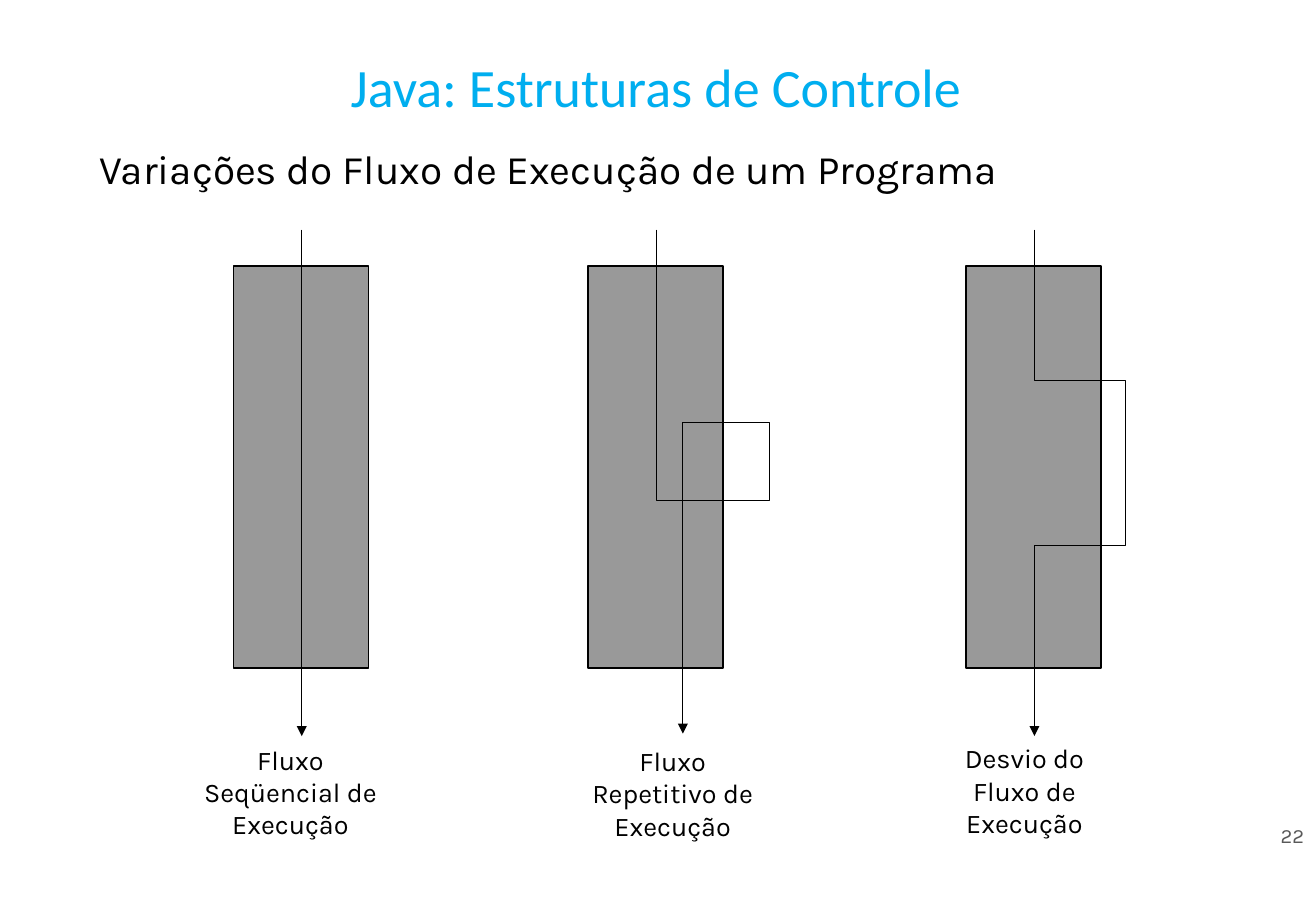
from pptx import Presentation, util as u
from pptx.dml.color import RGBColor
from pptx.enum import shapes, text
from pptx.oxml.ns import qn
from lxml import etree

W, H = u.Inches(10.83), u.Inches(7.5)
COL, ROW = W / 100, H / 100
COLORS = {"title": "00AEEF", "ink": "000000", "block": "999999", "number": "595959"}
BLOCK_TOP, BLOCK_COLS, BLOCK_ROWS = 29.2, 10.25, 44.13
FLOW_TOP, FLOW_COL = 25.2, 5.2
CAPTION_COLS, CAPTION_ROWS = 16, 12

FLOWS = [
    {"left": 17.73, "route": [(FLOW_COL, 80.8)],
     "caption": (4.34, 80.93, ["Fluxo", "Seqüencial de", "Execução"])},
    {"left": 44.69,
     "route": [(FLOW_COL, 54.93), (13.76, 54.93), (13.76, 46.4), (7.2, 46.4), (7.2, 80.53)],
     "caption": (6.42, 81.07, ["Fluxo", "Repetitivo de", "Execução"])},
    {"left": 73.41,
     "route": [(FLOW_COL, 41.73), (12.1, 41.73), (12.1, 59.87), (FLOW_COL, 59.87), (FLOW_COL, 80.8)],
     "caption": (4.43, 80.8, ["Desvio do", "Fluxo de", "Execução"])},
]


def rgb(name):
    return RGBColor.from_string(COLORS[name])


def place(col, row):
    return u.Emu(round(col * COL)), u.Emu(round(row * ROW))


def add_text(s, col, row, cols, rows, lines, size, font="Karla", color="ink",
             align="CENTER", anchor="TOP", before=0):
    tf = s.shapes.add_textbox(*place(col, row), *place(cols, rows)).text_frame
    tf.word_wrap = True
    tf.vertical_anchor = text.MSO_ANCHOR[anchor]
    for i, line in enumerate(lines):
        p = tf.add_paragraph() if i else tf.paragraphs[0]
        p.alignment = text.PP_ALIGN[align]
        p.space_before = u.Pt(before)
        r = p.add_run()
        r.text = line
        for key, value in {"name": font, "size": u.Pt(size)}.items():
            setattr(r.font, key, value)
        r.font.color.rgb = rgb(color)


def set_line(sp):
    sp.line.color.rgb = rgb("ink")
    sp.line.width = u.Pt(0.75)


def add_block(s, left):
    sp = s.shapes.add_shape(shapes.MSO_SHAPE.RECTANGLE, *place(left, BLOCK_TOP),
                            *place(BLOCK_COLS, BLOCK_ROWS))
    sp.shadow.inherit = False
    sp.fill.solid()
    sp.fill.fore_color.rgb = rgb("block")
    set_line(sp)


def add_flow(s, left, route):
    start = place(left + FLOW_COL, FLOW_TOP)
    points = [place(left + col, row) for col, row in route]
    if len(points) == 1:
        sp = s.shapes.add_connector(shapes.MSO_CONNECTOR.STRAIGHT, *start, *points[0])
        etree.SubElement(sp._element.spPr, qn("a:effectLst"))
    else:
        builder = s.shapes.build_freeform(*start)
        builder.add_line_segments(points, close=False)
        sp = builder.convert_to_shape()
        sp.fill.background()
        sp.shadow.inherit = False
    set_line(sp)
    etree.SubElement(sp.line._get_or_add_ln(), qn("a:tailEnd"), type="triangle")


def main():
    prs = Presentation()
    prs.slide_width, prs.slide_height = W, H
    s = prs.slides.add_slide(prs.slide_layouts[6])
    add_text(s, 90, 89.73, 10, 4, ["22"], 12, color="number", align="RIGHT", anchor="MIDDLE")
    add_text(s, 4.06, 3.73, 91.6, 11.33, ["Java: Estruturas de Controle"], 32,
             font="Calibri", color="title", anchor="MIDDLE")
    add_text(s, 6.65, 15.2, 82.73, 6.67, ["Variações do Fluxo de Execução de um Programa"], 24,
             align="LEFT", before=12)
    for flow in FLOWS:
        left = flow["left"]
        center, top, lines = flow["caption"]
        add_block(s, left)
        add_flow(s, left, flow["route"])
        add_text(s, left + center - CAPTION_COLS / 2, top, CAPTION_COLS, CAPTION_ROWS, lines, 16)
    prs.save("out.pptx")


if __name__ == "__main__":
    main()
